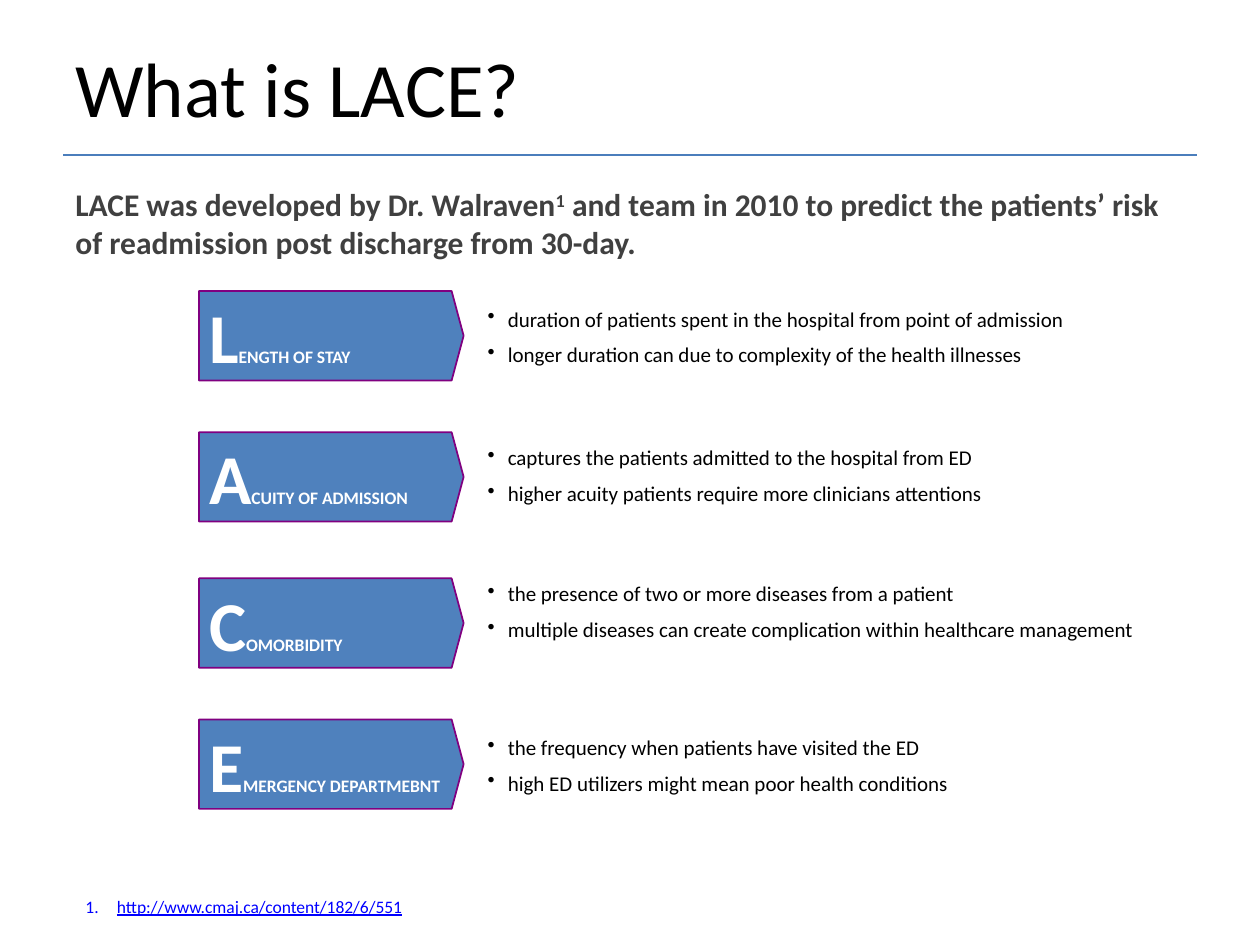
from lxml.etree import SubElement
from pptx import Presentation
from pptx.dml.color import RGBColor
from pptx.enum.shapes import MSO_CONNECTOR, MSO_SHAPE
from pptx.enum.text import MSO_ANCHOR, PP_ALIGN
from pptx.oxml.ns import qn
from pptx.util import Inches, Pt

COLORS = {
    "black": "000000", "white": "FFFFFF", "gray": "404040", "link": "0000FF",
    "blue": "4F81BD", "rule": "4B7EBC", "purple": "800080",
}
FONT = "Calibri"

TITLE = "What is LACE?"
INTRO = ("LACE was developed by Dr. Walraven", "1",
         " and team in 2010 to predict the patients’ risk of readmission "
         "post discharge from 30-day.")
REFERENCE = "http://www.cmaj.ca/content/182/6/551"

# initial, rest of the label, arrow top, bullets top, bullets
FACTORS = [
    ("L", "ENGTH OF STAY", 2.31, 2.35,
     ["duration of patients spent in the hospital from point of admission",
      "longer duration can due to complexity of the health illnesses"]),
    ("A", "CUITY OF ADMISSION", 3.43, 3.45,
     ["captures the patients admitted to the hospital from ED",
      "higher acuity patients require more clinicians attentions"]),
    ("C", "OMORBIDITY", 4.59, 4.53,
     ["the presence of two or more diseases from a patient",
      "multiple diseases can create complication within healthcare management"]),
    ("E", "MERGENCY DEPARTMEBNT", 5.71, 5.75,
     ["the frequency when patients have visited the ED",
      "high ED utilizers might mean poor health conditions"]),
]
ARROW_LEFT, ARROW_WIDTH = 1.58, 2.1
BULLETS_LEFT, BULLETS_WIDTH = 3.79, 5.59
ROW_HEIGHT, ROW_INSET = 0.71, 0.08


def rgb(name):
    return RGBColor.from_string(COLORS[name])


def add_span(para, text, size, color, bold=False):
    span = para.add_run()
    span.text = text
    span.font.name = FONT
    span.font.size = Pt(size)
    span.font.bold = bold
    span.font.color.rgb = rgb(color)
    return span


def add_box(page, left, top, width, height, wrap=True):
    frame = page.shapes.add_textbox(
        Inches(left), Inches(top), Inches(width), Inches(height)).text_frame
    frame.word_wrap = wrap
    return frame


def set_insets(frame):
    frame.margin_left = frame.margin_right = Inches(ROW_INSET)
    frame.margin_top = frame.margin_bottom = Inches(ROW_INSET)


def set_marker(para, indent, tag, **attributes):
    """Hang the paragraph behind a bullet or number."""
    props = para._p.get_or_add_pPr()
    props.set("marL", str(Inches(indent)))
    props.set("indent", str(-Inches(indent)))
    SubElement(props, qn(tag), attributes)


def add_rule(page, left, right, y):
    rule = page.shapes.add_connector(
        MSO_CONNECTOR.STRAIGHT, Inches(left), Inches(y), Inches(right), Inches(y))
    rule.line.color.rgb = rgb("rule")
    rule.line.width = Pt(1)
    SubElement(rule._element.spPr, qn("a:effectLst"))


def add_arrow(page, top, initial, rest):
    arrow = page.shapes.add_shape(
        MSO_SHAPE.PENTAGON, Inches(ARROW_LEFT), Inches(top),
        Inches(ARROW_WIDTH), Inches(ROW_HEIGHT))
    arrow.adjustments[0] = 0.134
    arrow.shadow.inherit = False
    arrow.fill.solid()
    arrow.fill.fore_color.rgb = rgb("blue")
    arrow.line.color.rgb = rgb("purple")
    arrow.line.width = Pt(1)
    frame = arrow.text_frame
    frame.word_wrap = True
    frame.vertical_anchor = MSO_ANCHOR.MIDDLE
    set_insets(frame)
    para = frame.paragraphs[0]
    para.alignment = PP_ALIGN.LEFT
    add_span(para, initial, 40, "white", bold=True)
    add_span(para, rest, 10, "white", bold=True)


def add_bullets(page, top, bullets):
    frame = add_box(page, BULLETS_LEFT, top, BULLETS_WIDTH, ROW_HEIGHT)
    set_insets(frame)
    for i, text in enumerate(bullets):
        para = frame.add_paragraph() if i else frame.paragraphs[0]
        para.space_before = Pt(3 if i else 0)
        para.space_after = Pt(3)
        set_marker(para, 0.16, "a:buChar", char="•")
        add_span(para, text, 12, "black")


def main():
    deck = Presentation()
    deck.slide_width, deck.slide_height = Inches(10), Inches(7.5)
    page = deck.slides.add_slide(deck.slide_layouts[6])

    title = add_box(page, 0.5, 0.14, 9, 1.1)
    title.vertical_anchor = MSO_ANCHOR.MIDDLE
    add_span(title.paragraphs[0], TITLE, 44, "black")
    add_rule(page, 0.5, 9.5, 1.23)

    intro = add_box(page, 0.5, 1.42, 9, 0.71).paragraphs[0]
    before, note, after = INTRO
    add_span(intro, before, 18, "gray", bold=True)
    mark = add_span(intro, note, 18, "gray", bold=True)
    mark.font._element.set("baseline", "30000")
    add_span(intro, after, 18, "gray", bold=True)

    for initial, rest, arrow_top, bullets_top, bullets in FACTORS:
        add_arrow(page, arrow_top, initial, rest)
        add_bullets(page, bullets_top, bullets)

    reference = add_box(page, 0.58, 7.06, 2.78, 0.27, wrap=False).paragraphs[0]
    set_marker(reference, 0.25, "a:buAutoNum", type="arabicPeriod")
    add_span(reference, REFERENCE, 10, "link").font.underline = True

    deck.save("out.pptx")


if __name__ == "__main__":
    main()
